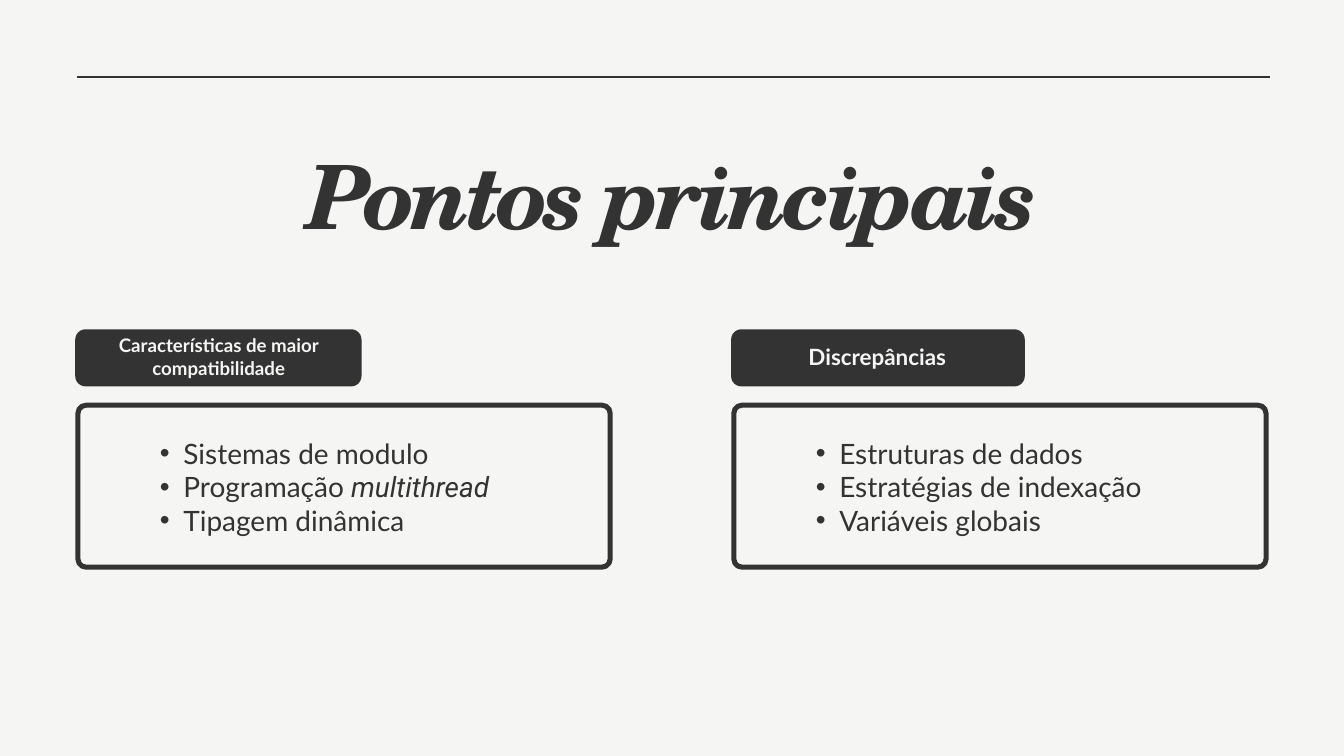
"""Build the slide of main points with two labelled lists."""
from lxml import etree
from pptx import Presentation
from pptx.dml.color import RGBColor
from pptx.enum.shapes import MSO_CONNECTOR, MSO_SHAPE
from pptx.enum.text import MSO_ANCHOR, MSO_AUTO_SIZE, PP_ALIGN
from pptx.oxml.ns import qn
from pptx.util import Inches, Pt

ROUND = MSO_SHAPE.ROUNDED_RECTANGLE
LINE = MSO_CONNECTOR.STRAIGHT
TOP, FIXED = MSO_ANCHOR.TOP, MSO_AUTO_SIZE.NONE
MID, LEFT = PP_ALIGN.CENTER, PP_ALIGN.LEFT
DARK, PALE = "333333", "F5F5F4"


def tint(color, code):
    color.rgb = RGBColor.from_string(code)


def write(box, lines, size, face, code, bold=False, lead=1.2, align=MID):
    frame = box.text_frame
    frame.text = "\n".join(lines)
    frame.word_wrap = True
    frame.auto_size = FIXED
    frame.vertical_anchor = TOP
    frame.margin_left = frame.margin_right = 0
    frame.margin_top = frame.margin_bottom = 0
    for para in frame.paragraphs:
        para.alignment = align
        para.line_spacing = Pt(size * lead)
        for run in para.runs:
            run.font.size = Pt(size)
            run.font.name = face
            run.font.bold = bold
            tint(run.font.color, code)
    return frame.paragraphs


deck = Presentation()
deck.slide_width, deck.slide_height = Inches(20), Inches(11.25)
col = deck.slide_width / 20
row = deck.slide_height / 11.25
slide = deck.slides.add_slide(deck.slide_layouts[5])
slide.background.fill.solid()
tint(slide.background.fill.fore_color, PALE)
shapes = slide.shapes

rule = shapes.add_connector(
    LINE, int(1.15 * col), int(1.14 * row), int(18.9 * col), int(1.14 * row))
rule.line.width = Pt(2.25)
tint(rule.line.color, DARK)
etree.SubElement(rule._element.spPr, qn("a:effectLst"))

title = shapes.title
title.left, title.top = int(3.26 * col), int(2.09 * row)
title.width, title.height = int(13.48 * col), int(1.57 * row)
head = write(title, ["Pontos principais"], 95, "TeX Gyre Schola", DARK, True)[0]
head.runs[0].font.italic = True
head.runs[0]._r.get_or_add_rPr().set("spc", "-470")

cards = [
    (1.12, 4.26, "Características de maior compatibilidade", 20, 1.15, 4.97, 0.69,
     ["Sistemas de modulo", "Programação ", "Tipagem dinâmica"]),
    (10.88, 4.37, "Discrepâncias", 24, 10.95, 5.11, 0.41,
     ["Estruturas de dados", "Estratégias de indexação", "Variáveis globais"]),
]
for x, wide, name, size, left, top, high, items in cards:
    frame = shapes.add_shape(
        ROUND, int((x + 0.04) * col), int(6.03 * row), int(7.92 * col), int(2.41 * row))
    frame.adjustments[0] = 0.05
    frame.fill.background()
    frame.line.width = Pt(5.4)
    tint(frame.line.color, DARK)

    tab = shapes.add_shape(
        ROUND, int(x * col), int(4.9 * row), int(wide * col), int(0.85 * row))
    tab.adjustments[0] = 0.18
    tab.fill.solid()
    tint(tab.fill.fore_color, DARK)
    tab.line.fill.background()
    frame.shadow.inherit = tab.shadow.inherit = False

    label = shapes.add_textbox(
        int(left * col), int(top * row), int(4.21 * col), int(high * row))
    write(label, [name], size, "Lato", PALE, True)

    notes = shapes.add_textbox(
        int((x + 0.9) * col), int(6.49 * row), int(6.2 * col), int(1.48 * row))
    for para in write(notes, items, 30, "Lato", DARK, align=LEFT):
        para.level = 1
        props = para._p.get_or_add_pPr()
        props.set("marL", str(Inches(0.71)))
        props.set("indent", str(Inches(-0.35)))
        etree.SubElement(props, qn("a:buFont")).set("typeface", "Arial")
        etree.SubElement(props, qn("a:buChar")).set("char", "•")
        if para.text == "Programação ":
            term = para.add_run()
            term.text = "multithread"
            term.font.size = Pt(30)
            term.font.name = "Roboto"
            term.font.italic = True
            tint(term.font.color, DARK)

deck.save("out.pptx")
